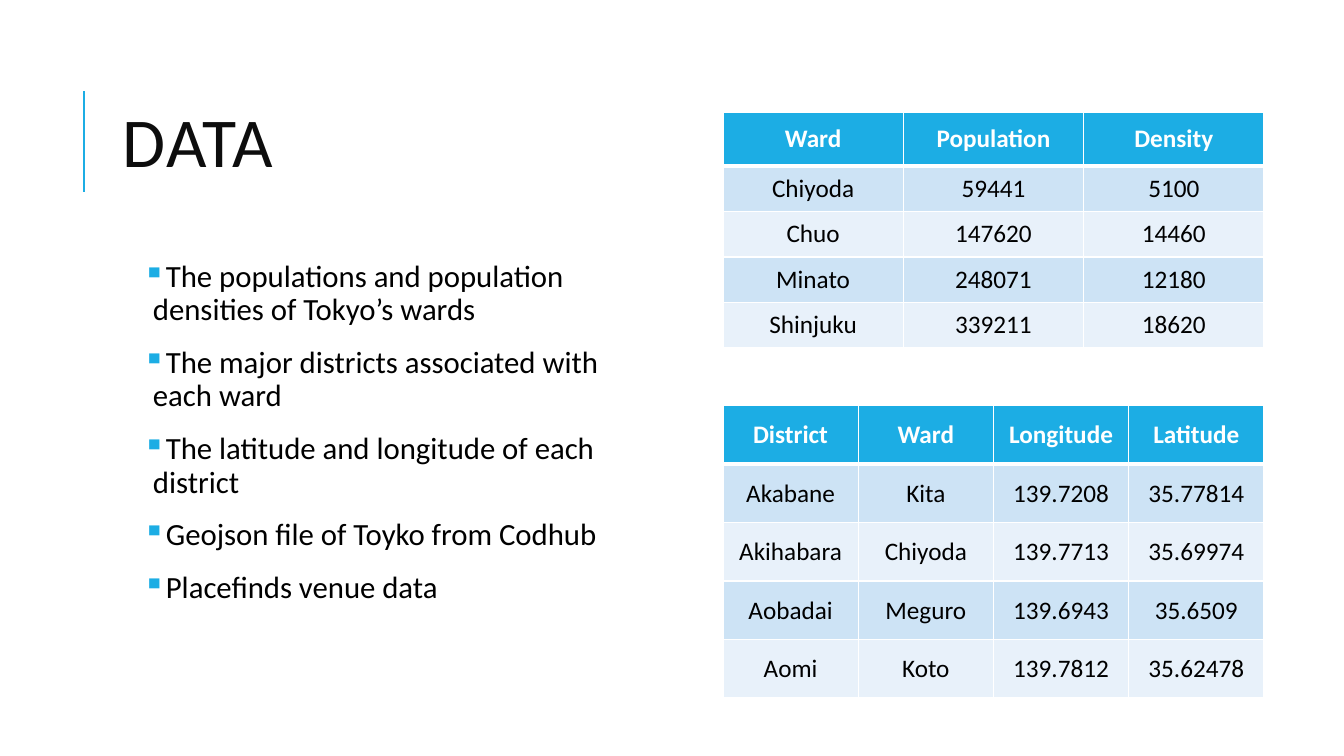
import pptx
import pptx.util
import pptx.dml.color
import pptx.enum.shapes
import pptx.enum.text
import pptx.oxml
import pptx.oxml.ns
from lxml import etree

THEME = {
    "font": "Calibri",
    "accent": "1CADE4",
    "title": "0D0D0D",
    "text": "000000",
    "white": "FFFFFF",
    "bands": ["CDE3F5", "E8F1FA"],
    "title_size": 50,
    "body_size": 22,
    "table_size": 18,
}
EMU_PER_PX = 914400 / 100.8
NS = pptx.oxml.ns.nsdecls("a")
CENTER = pptx.enum.text.PP_ALIGN.CENTER
MIDDLE = pptx.enum.text.MSO_ANCHOR.MIDDLE
RGB = pptx.dml.color.RGBColor.from_string


def px(*lengths):
    return [pptx.util.Emu(round(n * EMU_PER_PX)) for n in lengths]


def write(p, text, size, color, bold=False, align=None, line=None, before=0, after=0):
    p.alignment = align
    p.line_spacing = line
    p.space_before = pptx.util.Pt(before)
    p.space_after = pptx.util.Pt(after)
    r = p.add_run()
    r.text = text
    r.font.name = THEME["font"]
    r.font.size = pptx.util.Pt(size)
    r.font.bold = bold
    r.font.color.rgb = RGB(color)
    return r


prs = pptx.Presentation()
prs.slide_width, prs.slide_height = px(1344, 756)
s = prs.slides.add_slide(prs.slide_layouts[6])

# Title with its accent rule
rule = s.shapes.add_connector(pptx.enum.shapes.MSO_CONNECTOR.STRAIGHT, *px(84, 192, 84, 91))
rule.line.color.rgb = RGB(THEME["accent"])
rule.line.width = pptx.util.Pt(1.5)
etree.SubElement(rule._element.spPr, pptx.oxml.ns.qn("a:effectLst"))

tf = s.shapes.add_textbox(*px(113, 65, 1071, 165)).text_frame
tf.word_wrap = True
tf.vertical_anchor = MIDDLE
r = write(tf.paragraphs[0], "DATA", THEME["title_size"], THEME["title"], line=0.8)
r.font._element.set("spc", "100")

# Data sources
sources = [
    "The populations and population densities of Tokyo’s wards",
    "The major districts associated with each ward",
    "The latitude and longitude of each district",
    "Geojson file of Toyko from Codhub",
    "Placefinds venue data",
]
tf = s.shapes.add_textbox(*px(138, 256, 524, 444)).text_frame
tf.word_wrap = True
tf.margin_left, tf.margin_top, tf.margin_right, tf.margin_bottom = px(5, 5, 5, 5)
indent = px(10)[0]
for i, source in enumerate(sources):
    p = tf.add_paragraph() if i else tf.paragraphs[0]
    write(p, source, THEME["body_size"], THEME["text"], line=0.9, before=12, after=2)
    pPr = p._p.get_or_add_pPr()
    pPr.set("marL", str(indent))
    pPr.set("indent", str(-indent))
    pPr.append(pptx.oxml.parse_xml(
        f'<a:buClr {NS}><a:srgbClr val="{THEME["accent"]}"/></a:buClr>'))
    pPr.append(pptx.oxml.parse_xml(f'<a:buChar {NS} char="▪"/>'))

# Sample tables: top, height, header height, cell margins, rows
tables = [
    (112, 236, 54, (10, 5, 10, 5), [
        ["Ward", "Population", "Density"],
        ["Chiyoda", "59441", "5100"],
        ["Chuo", "147620", "14460"],
        ["Minato", "248071", "12180"],
        ["Shinjuku", "339211", "18620"],
    ]),
    (405, 293, 59, (1, 1, 1, 0), [
        ["District", "Ward", "Longitude", "Latitude"],
        ["Akabane", "Kita", "139.7208", "35.77814"],
        ["Akihabara", "Chiyoda", "139.7713", "35.69974"],
        ["Aobadai", "Meguro", "139.6943", "35.6509"],
        ["Aomi", "Koto", "139.7812", "35.62478"],
    ]),
]
left, width = 723, 541
for top, height, header_height, margins, rows in tables:
    n_rows, n_cols = len(rows), len(rows[0])
    table = s.shapes.add_table(n_rows, n_cols, *px(left, top, width, height)).table
    table.first_row = table.horz_banding = False
    for column in table.columns:
        column.width = px(width / n_cols)[0]
    for i, values in enumerate(rows):
        header = i == 0
        row_height = header_height if header else (height - header_height) / (n_rows - 1)
        table.rows[i].height = px(row_height)[0]
        for j, value in enumerate(values):
            cell = table.cell(i, j)
            cell.vertical_anchor = MIDDLE
            cell.margin_left, cell.margin_top, cell.margin_right, cell.margin_bottom = px(*margins)
            tcPr = cell._tc.get_or_add_tcPr()
            for side in "LRTB":
                thick = (header and side == "B") or (i == 1 and side == "T")
                tcPr.append(pptx.oxml.parse_xml(
                    f'<a:ln{side} {NS} w="{pptx.util.Pt(3 if thick else 1)}"><a:solidFill>'
                    f'<a:srgbClr val="{THEME["white"]}"/></a:solidFill></a:ln{side}>'))
            cell.fill.solid()
            cell.fill.fore_color.rgb = RGB(THEME["accent"] if header else THEME["bands"][(i - 1) % 2])
            write(cell.text_frame.paragraphs[0], value, THEME["table_size"],
                  THEME["white"] if header else THEME["text"], bold=header, align=CENTER)

prs.save("out.pptx")
